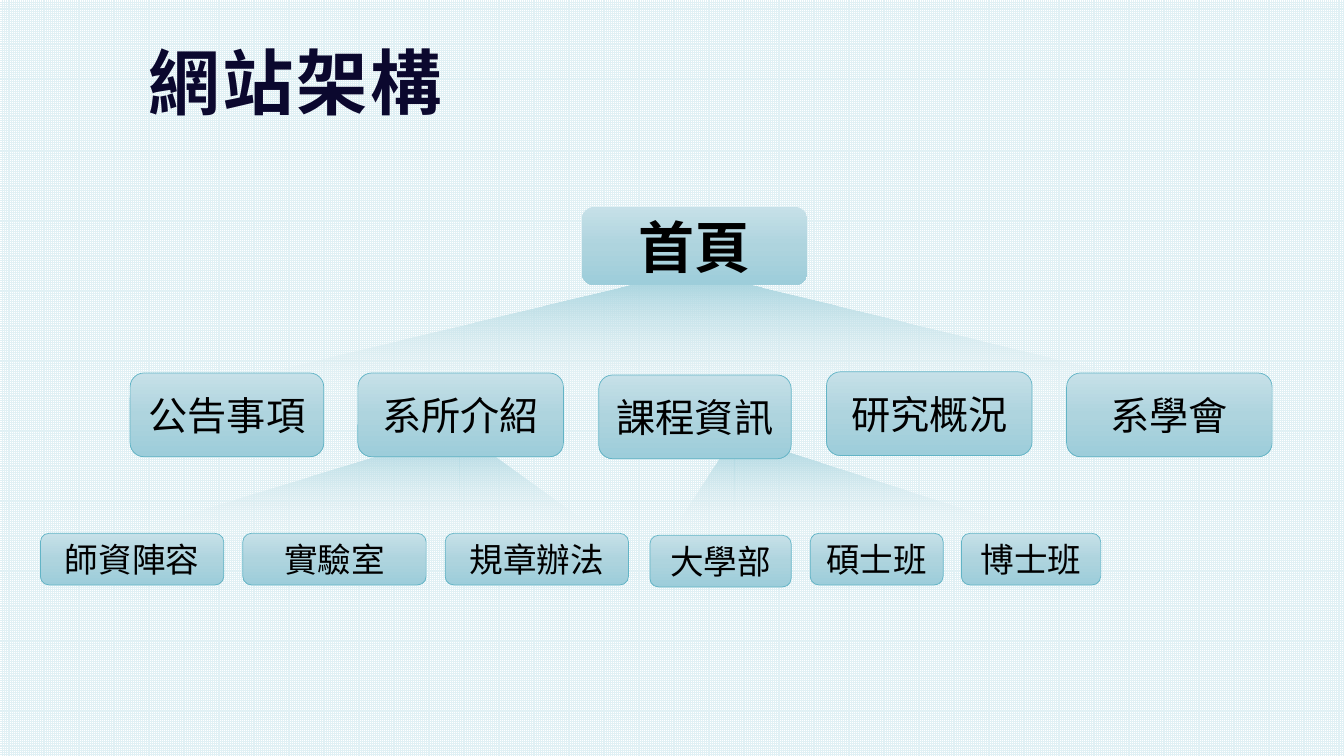
from dataclasses import dataclass
from lxml.etree import SubElement
from pptx import Presentation
from pptx.dml.color import RGBColor
from pptx.enum.dml import MSO_PATTERN
from pptx.enum.shapes import MSO_SHAPE
from pptx.enum.text import MSO_ANCHOR, PP_ALIGN
from pptx.oxml.ns import qn
from pptx.util import Cm, Pt


@dataclass(frozen=True)
class Theme:
    font: str = "Noto Sans CJK SC"
    title: str = "0B082E"
    text: str = "000000"
    line: str = "62B4C6"
    grid: str = "E0F0F4"
    paper: str = "FFFFFF"
    box: tuple = ((0, "C6E0E8", 100), (50, "AED4DE", 100), (100, "9DCDDA", 100))
    fan: tuple = ((0, "9ECFDB", 100), (100, "FFFFFF", 0))
    title_size: int = 51
    root_size: int = 40
    section_size: int = 28
    page_size: int = 24


THEME = Theme()


def write(tf, text, size, color=THEME.text, bold=False, align=None,
          anchor=MSO_ANCHOR.MIDDLE, spacing=None, tracking=0):
    tf.word_wrap = True
    tf.vertical_anchor = anchor
    p = tf.paragraphs[0]
    p.alignment = align
    p.line_spacing = spacing
    r = p.add_run()
    r.text = text
    r.font.size = Pt(size)
    r.font.bold = bold
    r.font.name = THEME.font
    r.font.color.rgb = RGBColor.from_string(color)
    rPr = r.font._element
    SubElement(rPr, qn("a:ea")).set("typeface", THEME.font)
    if tracking:
        rPr.set("spc", str(tracking * 100))


def fill_down(sp, stops):
    sp.fill.gradient()
    sp.fill.gradient_angle = 270
    gs_list = sp._element.spPr.find(qn("a:gradFill")).find(qn("a:gsLst"))
    for gs in list(gs_list):
        gs_list.remove(gs)
    for position, color, opacity in stops:
        gs = SubElement(gs_list, qn("a:gs"), pos=str(position * 1000))
        clr = SubElement(gs, qn("a:srgbClr"), val=color)
        if opacity < 100:
            SubElement(clr, qn("a:alpha"), val=str(opacity * 1000))


def add_shape(slide, kind, box, stops, line=None):
    sp = slide.shapes.add_shape(kind, *(Cm(v) for v in box))
    sp.shadow.inherit = False
    fill_down(sp, stops)
    if line:
        sp.line.color.rgb = RGBColor.from_string(line)
        sp.line.width = Pt(0.5)
    else:
        sp.line.fill.background()
    return sp


def add_node(slide, box, text, size, bold=False, line=THEME.line):
    sp = add_shape(slide, MSO_SHAPE.FLOWCHART_ALTERNATE_PROCESS, box, THEME.box, line)
    write(sp.text_frame, text, size, bold=bold, align=PP_ALIGN.CENTER)


def add_row(slide, box, nodes, size):
    left, top, height = box
    for text, dx, width, dy in nodes:
        add_node(slide, (left + dx, top + dy, width, height), text, size)


def add_split_fan(slide, box, apex):
    left, top, width, height = box
    kind = MSO_SHAPE.RIGHT_TRIANGLE
    sp = add_shape(slide, kind, (left, top, apex, height), THEME.fan)
    sp._element.spPr.xfrm.set("flipH", "1")
    add_shape(slide, kind, (left + apex, top, width - apex, height), THEME.fan)


def add_title(slide, box, text):
    sp = slide.shapes.title
    sp.left, sp.top, sp.width, sp.height = (Cm(v) for v in box)
    write(sp.text_frame, text, THEME.title_size, color=THEME.title, bold=True,
          align=PP_ALIGN.LEFT, anchor=MSO_ANCHOR.TOP, spacing=0.9, tracking=2)


def add_background(slide):
    fill = slide.background.fill
    fill.patterned()
    fill.pattern = MSO_PATTERN.SMALL_GRID
    fill.fore_color.rgb = RGBColor.from_string(THEME.grid)
    fill.back_color.rgb = RGBColor.from_string(THEME.paper)


def add_site_map(slide, left, top):
    add_split_fan(slide, (left + 15.69, top + 5.74, 10.49, 2.79), 1.8)
    add_split_fan(slide, (left + 1.06, top + 5.64, 13.54, 2.9), 9.5)
    fan = add_shape(slide, MSO_SHAPE.ISOSCELES_TRIANGLE,
                    (left + 1.75, top + 1.62, 29.16, 3.48), THEME.fan)
    fan.adjustments[0] = 0.503
    add_node(slide, (left + 13.64, top, 5.69, 1.98), "首頁",
             THEME.root_size, bold=True, line=None)

    sections = [("公告事項", 0, 4.88, 0), ("系所介紹", 5.74, 5.18, 0),
                ("課程資訊", 11.81, 4.85, 0.05), ("研究概況", 17.55, 5.18, -0.03),
                ("系學會", 23.6, 5.18, 0)]
    add_row(slide, (left + 2.26, top + 4.19, 2.11), sections, THEME.section_size)

    intro = [(text, 5.1 * i, 4.62, 0)
             for i, text in enumerate(["師資陣容", "實驗室", "規章辦法"])]
    courses = [("大學部", 0, 3.56, 0.05), ("碩士班", 4.04, 3.35, 0),
               ("博士班", 7.85, 3.51, 0)]
    for dx, pages in ((0, intro), (15.36, courses)):
        add_row(slide, (left + dx, top + 8.23, 1.3), pages, THEME.page_size)


def main():
    prs = Presentation()
    prs.slide_width, prs.slide_height = Cm(33.87), Cm(19.05)
    slide = prs.slides.add_slide(prs.slide_layouts[5])
    add_background(slide)
    add_title(slide, (3.48, 1.07, 28.27, 4.14), "網站架構")
    add_site_map(slide, 1.02, 5.21)
    prs.save("out.pptx")


if __name__ == "__main__":
    main()
